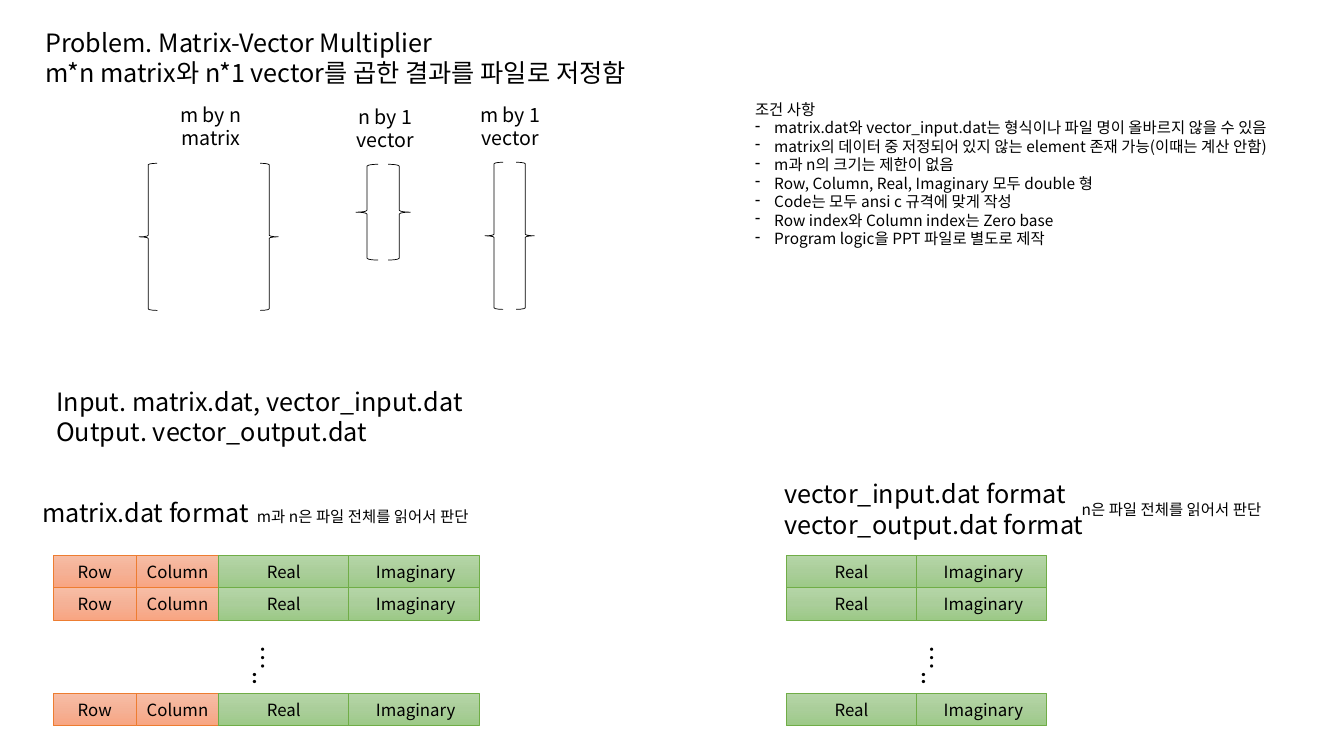
from copy import deepcopy
from dataclasses import dataclass
from typing import Any

from lxml import etree
from pptx import Presentation
from pptx.dml.color import RGBColor
from pptx.enum.shapes import MSO_SHAPE
from pptx.enum.text import MSO_ANCHOR, MSO_AUTO_SIZE, PP_ALIGN
from pptx.oxml.ns import qn
from pptx.util import Emu, Pt

PX = 9144
FONT = "Noto Sans CJK KR"
RECTANGLE, LEFT_BRACE, RIGHT_BRACE = MSO_SHAPE.RECTANGLE, MSO_SHAPE.LEFT_BRACE, MSO_SHAPE.RIGHT_BRACE
LEFT, CENTER = PP_ALIGN.LEFT, PP_ALIGN.CENTER
MIDDLE, GROW = MSO_ANCHOR.MIDDLE, MSO_AUTO_SIZE.SHAPE_TO_FIT_TEXT

COLORS = {
    "black": "000000",
    "orange line": "ED7D31", "orange top": "F7BDA5", "orange middle": "F5B196", "orange bottom": "F8A582",
    "green line": "70AD47", "green top": "B5D5A7", "green middle": "AACE9A", "green bottom": "9CC987",
}


@dataclass(frozen=True)
class Label:
    left: int
    top: int
    width: int
    height: int
    lines: tuple[str, ...]
    size: int = 18
    align: Any = LEFT
    vertical: bool = False
    bulleted: bool = False


@dataclass(frozen=True)
class Bracket:
    caption: Label
    left: int
    right: int
    top: int
    width: int
    height: int


@dataclass(frozen=True)
class Field:
    name: str
    width: int
    hue: str


ROW, COLUMN = Field("Row", 82, "orange"), Field("Column", 82, "orange")
REAL, IMAGINARY = Field("Real", 129, "green"), Field(" Imaginary", 129, "green")
RECORDS = {53: (ROW, COLUMN, REAL, IMAGINARY), 780: (REAL, IMAGINARY)}
RECORD_TOPS = (551, 583, 688)
RECORD_HEIGHT = 32

BRACKETS = (
    Bracket(Label(155, 97, 108, 57, ("m by n", "matrix"), 14, CENTER), 138, 258, 162, 18, 146),
    Bracket(Label(328, 99, 108, 57, ("n by 1", "vector"), 14, CENTER), 353, 385, 163, 22, 95),
    Bracket(Label(452, 97, 108, 57, ("m by 1", "vector"), 14, CENTER), 481, 512, 161, 18, 146),
)

LABELS = (
    Label(35, 22, 722, 71, ("Problem. Matrix-Vector Multiplier", "m*n matrix와 n*1 vector를 곱한 결과를 파일로 저정함")),
    Label(46, 378, 722, 71, ("Input. matrix.dat, vector_input.dat", "Output. vector_output.dat")),
    Label(32, 488, 722, 40, ("matrix.dat format",)),
    Label(245, 498, 267, 29, ("m과 n은 파일 전체를 읽어서 판단",), 11),
    Label(231, 631, 50, 115, ("…..",), vertical=True),
    Label(895, 631, 50, 115, ("…..",), vertical=True),
    Label(768, 470, 722, 71, ("vector_input.dat format", "vector_output.dat format")),
    Label(1063, 491, 267, 29, ("n은 파일 전체를 읽어서 판단",), 11),
    Label(739, 94, 590, 158, (
        "조건 사항",
        "matrix.dat와 vector_input.dat는 형식이나 파일 명이 올바르지 않을 수 있음",
        "matrix의 데이터 중 저정되어 있지 않는 element 존재 가능(이때는 계산 안함)",
        "m과 n의 크기는 제한이 없음",
        "Row, Column, Real, Imaginary 모두 double 형",
        "Code는 모두 ansi c 규격에 맞게 작성",
        "Row index와 Column index는 Zero base",
        "Program logic을 PPT 파일로 별도로 제작",
    ), 11, bulleted=True),
)


def px(*lengths: int) -> list[Emu]:
    return [Emu(length * PX) for length in lengths]


def color(name: str) -> RGBColor:
    return RGBColor.from_string(COLORS[name])


def write(para: Any, text: str, size: int, align: Any) -> None:
    para.alignment = align
    span = para.add_run()
    span.text = text
    for name, value in {"size": Pt(size), "name": FONT}.items():
        setattr(span.font, name, value)
    span.font.color.rgb = color("black")
    etree.SubElement(span.font._element, qn("a:ea"), typeface=FONT)


def add_dash(para: Any) -> None:
    properties = para._p.get_or_add_pPr()
    indent = 19 * PX
    properties.set("marL", str(indent))
    properties.set("indent", str(-indent))
    etree.SubElement(properties, qn("a:buChar"), char="-")


def add_label(shapes: Any, label: Label) -> None:
    box = shapes.add_textbox(*px(label.left, label.top, label.width, label.height))
    frame = box.text_frame
    for name, value in {"word_wrap": True, "auto_size": GROW}.items():
        setattr(frame, name, value)
    if label.vertical:
        frame._txBody.bodyPr.set("vert", "eaVert")
    for index, line in enumerate(label.lines):
        para = frame.add_paragraph() if index else frame.paragraphs[0]
        if label.bulleted and index:
            add_dash(para)
        write(para, line, label.size, label.align)


def add_outlined(shapes: Any, kind: Any, bounds: list[Emu], line: str) -> Any:
    shape = shapes.add_shape(kind, *bounds)
    shape.shadow.inherit = False
    shape.line.color.rgb = color(line)
    shape.line.width = Pt(0.5)
    return shape


def add_bracket(shapes: Any, bracket: Bracket) -> None:
    group = shapes.add_group_shape().shapes
    for kind, left in ((LEFT_BRACE, bracket.left), (RIGHT_BRACE, bracket.right)):
        bounds = px(left, bracket.top, bracket.width, bracket.height)
        add_outlined(group, kind, bounds, "black").fill.background()
    add_label(group, bracket.caption)


def shade(shape: Any, hue: str) -> None:
    fill = shape.fill
    fill.gradient()
    fill.gradient_angle = 270
    first = shape._element.spPr.find(".//" + qn("a:gs"))
    first.addnext(deepcopy(first))
    for stop, position, tone in zip(fill.gradient_stops, (0, 0.5, 1), ("top", "middle", "bottom")):
        stop.position = position
        stop.color.rgb = color(f"{hue} {tone}")


def add_record(shapes: Any, left: int, top: int, fields: tuple[Field, ...]) -> None:
    group = shapes.add_group_shape().shapes
    for field in fields:
        bounds = px(left, top, field.width, RECORD_HEIGHT)
        cell = add_outlined(group, RECTANGLE, bounds, f"{field.hue} line")
        shade(cell, field.hue)
        cell.text_frame.vertical_anchor = MIDDLE
        write(cell.text_frame.paragraphs[0], field.name, 12, CENTER)
        left += field.width


def main() -> None:
    deck = Presentation()
    deck.slide_width, deck.slide_height = px(1333, 750)
    page = deck.slides.add_slide(deck.slide_layouts[6])
    for bracket in BRACKETS:
        add_bracket(page.shapes, bracket)
    for left, fields in RECORDS.items():
        for top in RECORD_TOPS:
            add_record(page.shapes, left, top, fields)
    for label in LABELS:
        add_label(page.shapes, label)
    deck.save("out.pptx")


if __name__ == "__main__":
    main()
